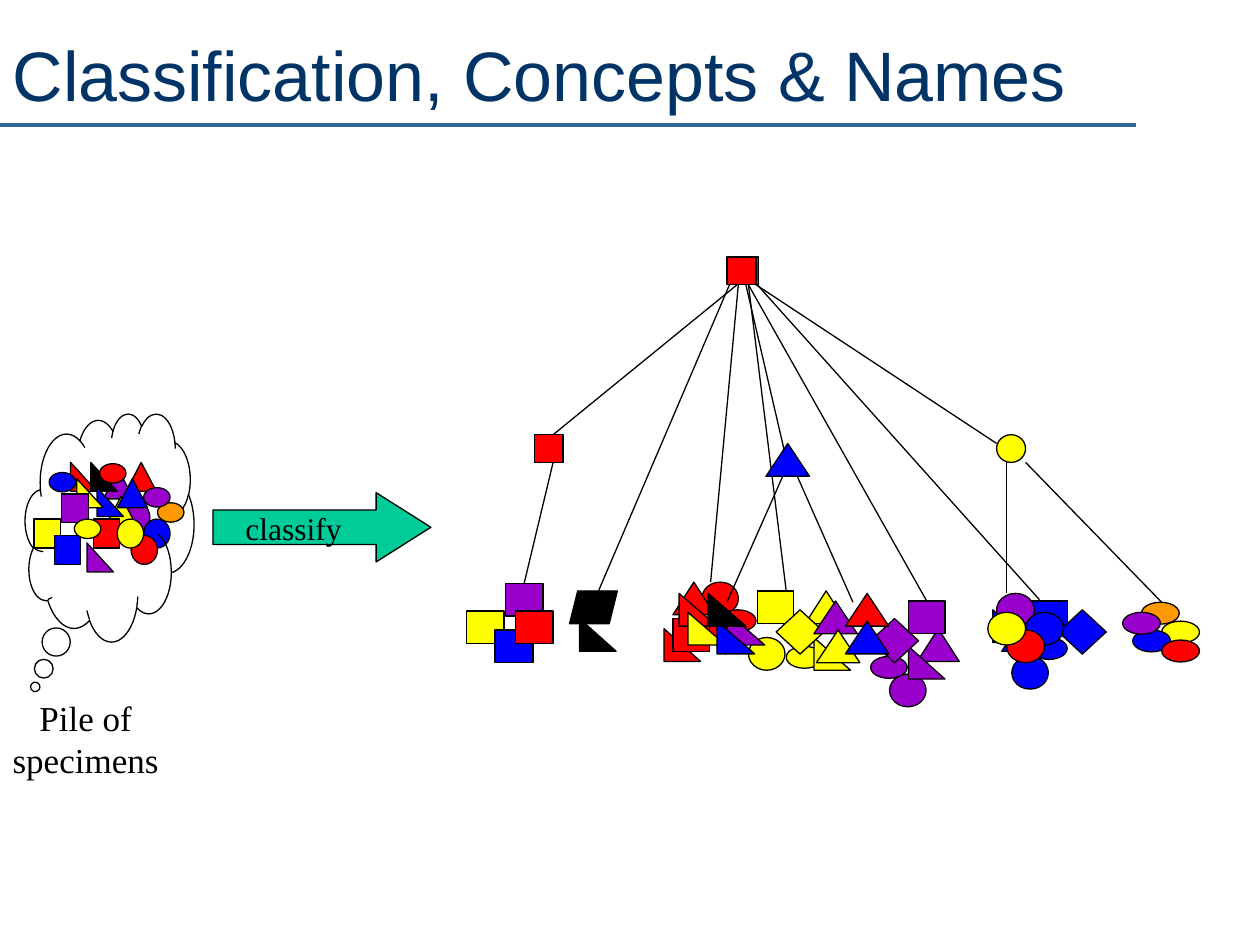
"""Build the slide on classification, concepts and names."""
from dataclasses import dataclass
from typing import NamedTuple

from lxml import etree
from pptx import Presentation
from pptx.dml.color import RGBColor
from pptx.enum.shapes import MSO_CONNECTOR, MSO_SHAPE
from pptx.enum.text import MSO_ANCHOR, MSO_AUTO_SIZE, PP_ALIGN
from pptx.oxml.ns import qn
from pptx.util import Inches, Pt

STRAIGHT = MSO_CONNECTOR.STRAIGHT
ARROW, CLOUD = MSO_SHAPE.RIGHT_ARROW, MSO_SHAPE.CLOUD_CALLOUT
LEFT, CENTER = PP_ALIGN.LEFT, PP_ALIGN.CENTER
TOP, MIDDLE = MSO_ANCHOR.TOP, MSO_ANCHOR.MIDDLE
NO_FIT = MSO_AUTO_SIZE.NONE


@dataclass(frozen=True)
class Theme:
    """Colours, fonts and sizes."""
    navy: str = "003366"
    rule: str = "336699"
    arrow: str = "00CC99"
    black: str = "000000"
    red: str = "FF0000"
    yellow: str = "FFFF00"
    blue: str = "0000FF"
    purple: str = "9900CC"
    orange: str = "FF9900"
    title_font: str = "Arial"
    body_font: str = "Times New Roman"
    title_size: int = 40
    caption_size: int = 20
    arrow_size: int = 18
    outline: float = 0.75
    rule_width: float = 2.25


class Kind(NamedTuple):
    """Preset shape with its size relative to a unit cell."""
    preset: MSO_SHAPE
    wide: float = 1
    high: float = 1


class Scale(NamedTuple):
    """Unit cell in inches."""
    w: float
    h: float


class Piece(NamedTuple):
    """One specimen."""
    kind: Kind
    colour: str
    x: float
    y: float


class Branch(NamedTuple):
    """One line of the tree."""
    x1: float
    y1: float
    x2: float
    y2: float


T = Theme()
BOX = Kind(MSO_SHAPE.RECTANGLE)
DISC = Kind(MSO_SHAPE.OVAL)
OVAL = Kind(MSO_SHAPE.OVAL, 1, 0.67)
TRI = Kind(MSO_SHAPE.ISOSCELES_TRIANGLE, 1.15)
WEDGE = Kind(MSO_SHAPE.RIGHT_TRIANGLE)
DIAMOND = Kind(MSO_SHAPE.DIAMOND, 1.31, 1.35)
SLANT = Kind(MSO_SHAPE.PARALLELOGRAM, 1.31)

PILE_SCALE = Scale(0.21, 0.23)
BACK_SCALE = Scale(0.29, 0.26)
FRONT_SCALE = Scale(0.3, 0.26)
NODE_SCALE = Scale(0.23, 0.22)

PILE = [
    Piece(DISC, T.purple, 0.98, 3.99), Piece(DISC, T.blue, 1.14, 4.12),
    Piece(DISC, T.red, 1.04, 4.25), Piece(TRI, T.purple, 0.82, 3.73),
    Piece(TRI, T.yellow, 0.84, 3.94), Piece(TRI, T.red, 1, 3.67),
    Piece(WEDGE, T.red, 0.56, 3.67), Piece(WEDGE, T.black, 0.72, 3.67),
    Piece(WEDGE, T.blue, 0.77, 3.87), Piece(WEDGE, T.purple, 0.69, 4.31),
    Piece(WEDGE, T.yellow, 0.61, 3.8), Piece(BOX, T.purple, 0.49, 3.92),
    Piece(BOX, T.yellow, 0.27, 4.12), Piece(BOX, T.blue, 0.43, 4.25),
    Piece(BOX, T.red, 0.74, 4.12), Piece(OVAL, T.orange, 1.25, 3.99),
    Piece(OVAL, T.purple, 1.14, 3.87), Piece(OVAL, T.yellow, 0.59, 4.12),
    Piece(OVAL, T.blue, 0.39, 3.75), Piece(OVAL, T.red, 0.79, 3.68),
    Piece(DISC, T.yellow, 0.93, 4.12), Piece(TRI, T.blue, 0.93, 3.8),
]
BACK = [
    Piece(DISC, T.purple, 7.06, 5.35), Piece(OVAL, T.purple, 6.91, 5.21),
    Piece(OVAL, T.yellow, 6.24, 5.13), Piece(DISC, T.blue, 8.03, 5.21),
    Piece(OVAL, T.blue, 8.18, 5.06), Piece(DISC, T.red, 5.57, 4.62),
    Piece(OVAL, T.red, 5.71, 4.84), Piece(TRI, T.purple, 7.28, 4.99),
    Piece(WEDGE, T.purple, 7.21, 5.13), Piece(BOX, T.purple, 7.21, 4.77),
    Piece(TRI, T.red, 5.34, 4.62), Piece(WEDGE, T.red, 5.27, 4.99),
    Piece(DIAMOND, T.red, 5.57, 4.84), Piece(TRI, T.yellow, 6.39, 4.69),
    Piece(WEDGE, T.yellow, 6.46, 5.06), Piece(BOX, T.yellow, 6.01, 4.69),
    Piece(DIAMOND, T.yellow, 6.16, 4.84), Piece(WEDGE, T.blue, 7.88, 4.84),
    Piece(BOX, T.blue, 8.18, 4.77), Piece(DIAMOND, T.blue, 8.4, 4.84),
    Piece(SLANT, T.black, 4.52, 4.69), Piece(BOX, T.red, 5.34, 4.91),
    Piece(WEDGE, T.black, 4.6, 4.91), Piece(DISC, T.yellow, 5.94, 5.06),
    Piece(DIAMOND, T.purple, 6.91, 4.91), Piece(TRI, T.blue, 7.95, 4.91),
]
FRONT = [
    Piece(DISC, T.purple, 7.91, 4.71), Piece(DISC, T.blue, 8.14, 4.86),
    Piece(DISC, T.red, 7.99, 5), Piece(TRI, T.purple, 6.46, 4.77),
    Piece(TRI, T.yellow, 6.48, 5), Piece(TRI, T.red, 6.71, 4.71),
    Piece(WEDGE, T.red, 5.39, 4.71), Piece(WEDGE, T.purple, 5.77, 4.86),
    Piece(WEDGE, T.yellow, 5.46, 4.86), Piece(WEDGE, T.blue, 5.69, 4.93),
    Piece(BOX, T.purple, 4.01, 4.63), Piece(BOX, T.yellow, 3.7, 4.85),
    Piece(BOX, T.blue, 3.93, 5), Piece(BOX, T.red, 4.09, 4.85),
    Piece(OVAL, T.orange, 9.06, 4.78), Piece(OVAL, T.yellow, 9.22, 4.93),
    Piece(OVAL, T.blue, 8.99, 5), Piece(OVAL, T.red, 9.22, 5.08),
]
TOPMOST = [
    Piece(TRI, T.blue, 6.71, 4.93), Piece(TRI, T.blue, 6.08, 3.52),
    Piece(DISC, T.yellow, 7.84, 4.86), Piece(OVAL, T.purple, 8.91, 4.86),
    Piece(WEDGE, T.black, 5.62, 4.71),
]
BACK_ROOT = [Piece(BOX, T.red, 5.79, 2.04)]
NODES = [Piece(BOX, T.red, 5.77, 2.04), Piece(BOX, T.red, 4.24, 3.45),
         Piece(DISC, T.yellow, 7.91, 3.45)]
BACK_BRANCHES = [
    Branch(5.86, 2.26, 5.64, 4.62), Branch(5.94, 2.26, 7.36, 4.77),
    Branch(6.01, 2.26, 8.25, 4.76), Branch(5.94, 2.26, 6.24, 4.69),
    Branch(5.79, 2.26, 4.75, 4.69),
]
FRONT_BRANCHES = [
    Branch(5.85, 2.26, 4.39, 3.45), Branch(5.92, 2.26, 6.23, 3.6),
    Branch(6, 2.26, 7.91, 3.52), Branch(4.39, 3.67, 4.16, 4.63),
    Branch(6.23, 3.74, 5.77, 4.78), Branch(6.31, 3.74, 6.77, 4.78),
    Branch(7.99, 3.67, 7.99, 4.71), Branch(8.14, 3.67, 9.22, 4.78),
]


def add_shape(s, preset, x: float, y: float, w: float, h: float, fill=None):
    """Add an outlined preset shape, unfilled when no colour is given."""
    sp = s.shapes.add_shape(preset, Inches(x), Inches(y), Inches(w), Inches(h))
    sp.shadow.inherit = False
    if fill:
        sp.fill.solid()
        sp.fill.fore_color.rgb = RGBColor.from_string(fill)
    else:
        sp.fill.background()
    sp.line.color.rgb = RGBColor.from_string(T.black)
    sp.line.width = Pt(T.outline)
    return sp


def add_line(s, b: Branch, colour: str = T.black, width: float = T.outline):
    """Add a straight line."""
    line = s.shapes.add_connector(STRAIGHT, *(Inches(v) for v in b))
    line.line.color.rgb = RGBColor.from_string(colour)
    line.line.width = Pt(width)
    etree.SubElement(line._element.spPr, qn("a:effectLst"))
    return line


def add_pieces(s, pieces: list[Piece], scale: Scale) -> list:
    """Draw specimens and return the rectangles among them."""
    drawn = [(p.kind, add_shape(s, p.kind.preset, p.x, p.y, scale.w * p.kind.wide,
                                scale.h * p.kind.high, p.colour)) for p in pieces]
    return [sp for kind, sp in drawn if kind is BOX]


def add_branches(s, branches: list[Branch], boxes: list) -> None:
    """Draw branches, joining those that end at the top middle of a box."""
    near = Inches(0.01)
    for b in branches:
        line = add_line(s, b)
        for sp in boxes:
            dx = sp.left + sp.width // 2 - Inches(b.x2)
            if abs(dx) <= near and abs(sp.top - Inches(b.y2)) <= near:
                line.end_connect(sp, 0)


def set_text(sp, text: str, *, font: str, size: int, colour: str,
             align=CENTER, anchor=TOP, wrap: bool = False) -> None:
    """Write formatted text into a shape."""
    tf = sp.text_frame
    tf.text = text
    tf.auto_size, tf.word_wrap, tf.vertical_anchor = NO_FIT, wrap, anchor
    for p in tf.paragraphs:
        p.alignment = align
        for r in p.runs:
            r.font.name, r.font.size = font, Pt(size)
            r.font.color.rgb = RGBColor.from_string(colour)


def add_label(s, text: str, x: float, y: float, w: float, h: float, size: int) -> None:
    """Add a centred label."""
    sp = s.shapes.add_textbox(Inches(x), Inches(y), Inches(w), Inches(h))
    set_text(sp, text, font=T.body_font, size=size, colour=T.black)


def main() -> None:
    """Build and save the slide."""
    prs = Presentation()
    prs.slide_width, prs.slide_height = Inches(10), Inches(7.5)
    s = prs.slides.add_slide(prs.slide_layouts[5])
    title = s.shapes.title
    title.left, title.top = Inches(0), Inches(0.17)
    title.width, title.height = Inches(9.02), Inches(0.82)
    set_text(title, "Classification, Concepts & Names", font=T.title_font,
             size=T.title_size, colour=T.navy, align=LEFT, anchor=MIDDLE, wrap=True)
    add_line(s, Branch(0, 0.99, 9.02, 0.99), T.rule, T.rule_width)

    arrow = add_shape(s, ARROW, 1.69, 3.91, 1.73, 0.55, T.arrow)
    arrow.adjustments[1] = 0.79
    add_label(s, "classify", 1.85, 3.99, 0.96, 0.4, T.arrow_size)

    add_pieces(s, PILE, PILE_SCALE)
    add_label(s, "Pile of\nspecimens", 0, 5.48, 1.36, 0.77, T.caption_size)
    cloud = add_shape(s, CLOUD, 0.2, 3.28, 1.34, 1.81)
    cloud.adjustments[0], cloud.adjustments[1] = -0.44, 0.7

    add_pieces(s, BACK_ROOT, NODE_SCALE)
    add_branches(s, BACK_BRANCHES, add_pieces(s, BACK, BACK_SCALE))
    boxes = add_pieces(s, FRONT, FRONT_SCALE) + add_pieces(s, NODES, NODE_SCALE)
    add_branches(s, FRONT_BRANCHES, boxes)
    add_pieces(s, TOPMOST, FRONT_SCALE)
    prs.save("out.pptx")


if __name__ == "__main__":
    main()
